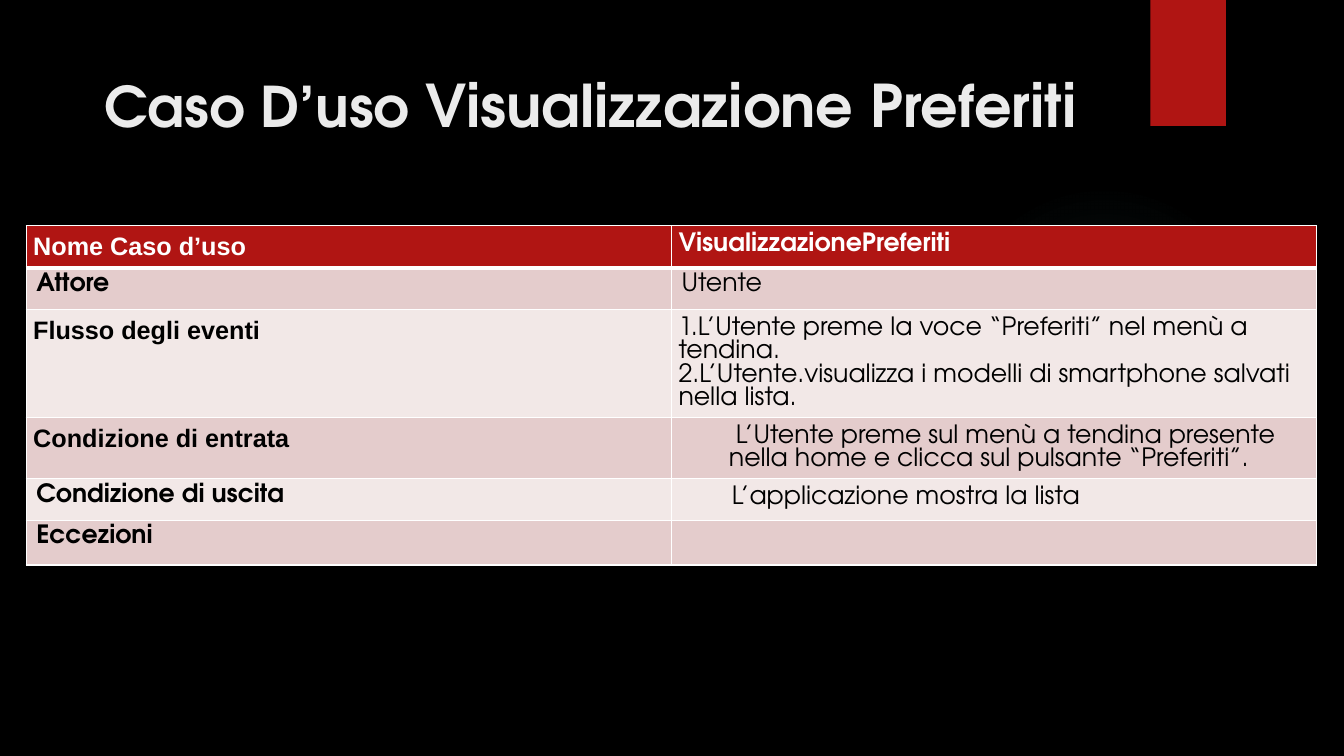
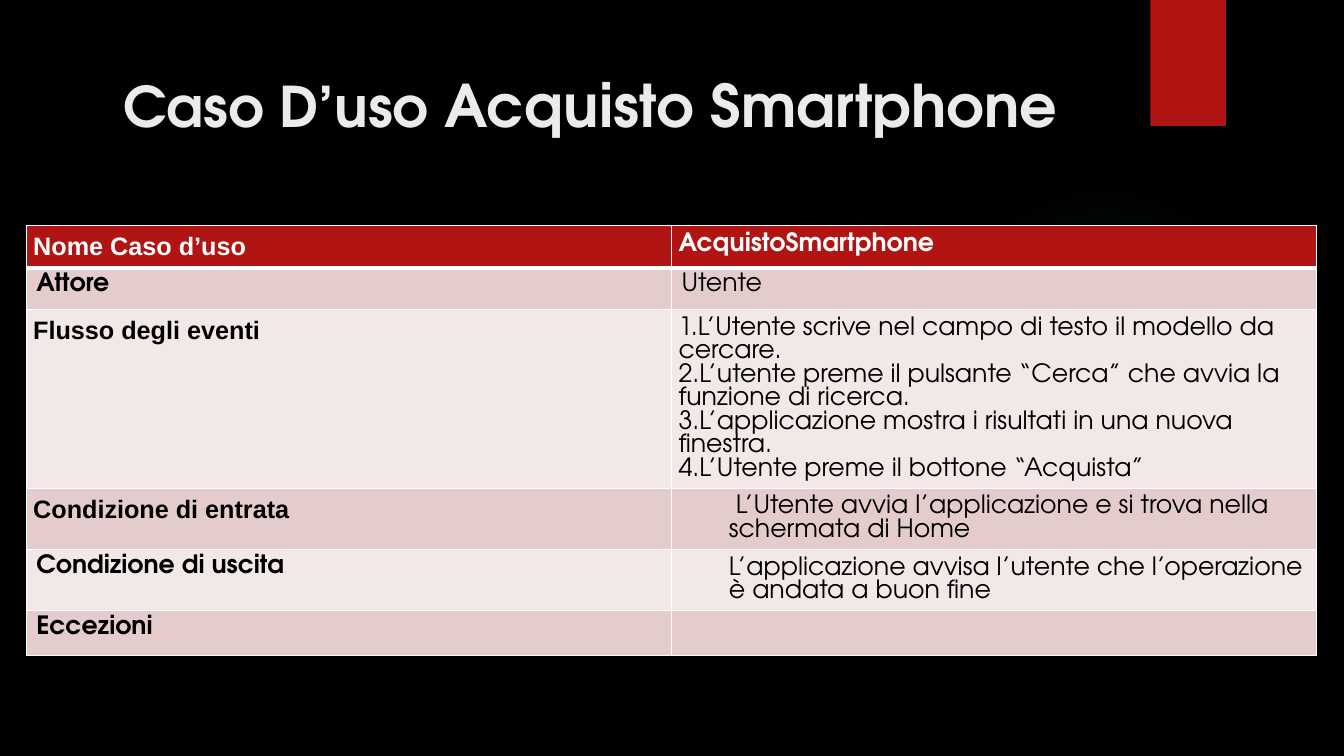
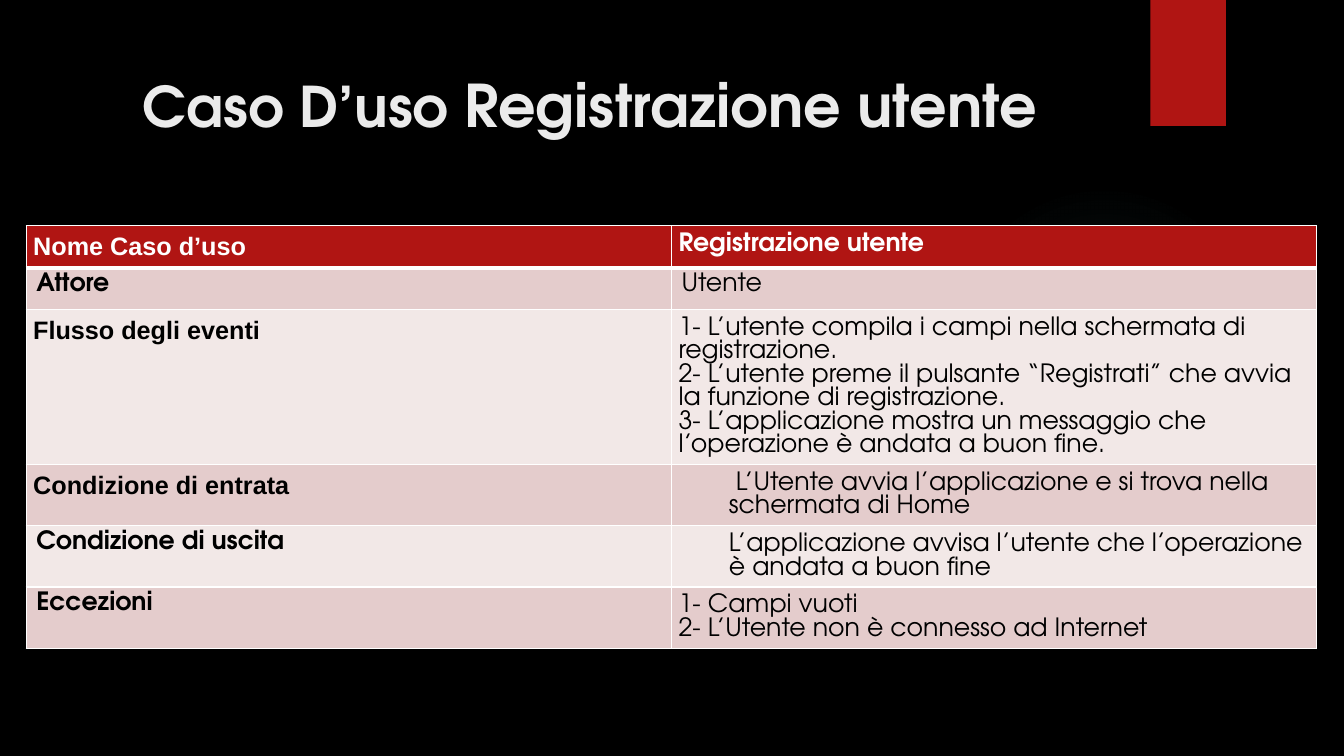
"""Build three use-case slides, each with a title and a two-column table."""
from dataclasses import dataclass

from pptx import Presentation
from pptx import util as u
from pptx.dml.color import RGBColor
from pptx.enum import shapes, text
from pptx.oxml import parse_xml
from pptx.oxml.ns import nsdecls, qn

BLACK = RGBColor(0x00, 0x00, 0x00)
WHITE = RGBColor(0xFF, 0xFF, 0xFF)
TITLE_GREY = RGBColor(0xEB, 0xEB, 0xEB)
RED = RGBColor(0xB0, 0x15, 0x13)
TEAL = RGBColor(0x50, 0xB9, 0xC1)
BANDS = (RGBColor(0xF2, 0xE8, 0xE7), RGBColor(0xE4, 0xCC, 0xCC))

DISPLAY_FONT = "TeX Gyre Adventor"
PLAIN_FONT = "Arial"
TEXT_SIZE = 18
TIGHT_INSET = 0.07
ROW_HEIGHT = 0.41
LINE_HEIGHT = 0.23
COLUMN_WIDTH = 6.4
TABLE_LEFT, TABLE_TOP = 0.26, 2.24
GLOW_STOPS = ((0, 7), (36, 6), (69, 0))


@dataclass(frozen=True)
class Label:
    text: str
    font: str = DISPLAY_FONT


@dataclass(frozen=True)
class Value:
    paragraphs: tuple[str, ...] = ()
    lines: int = 1
    numbered: bool = False
    indent: float = 0
    first_line: float = 0
    tight: bool = True


@dataclass(frozen=True)
class UseCase:
    title: str
    name: str
    events: Value
    entry: Value
    outcome: Value
    exceptions: Value = Value()


LABELS = (
    Label("Nome Caso d’uso", PLAIN_FONT),
    Label("Attore"),
    Label("Flusso degli eventi", PLAIN_FONT),
    Label("Condizione di entrata", PLAIN_FONT),
    Label("Condizione di uscita"),
    Label("Eccezioni"),
)
ACTOR = Value(("Utente",), tight=False)
HOME_ENTRY = Value(
    ("L’Utente avvia l’applicazione e si trova nella schermata di Home",),
    lines=2, indent=0.5, first_line=0.07,
)
SUCCESS = Value(
    ("L’applicazione avvisa l’utente che l’operazione è andata a buon fine",),
    lines=2, indent=0.5,
)
USE_CASES = (
    UseCase(
        "Visualizzazione Preferiti",
        "VisualizzazionePreferiti",
        Value((
            "L’Utente preme la voce “Preferiti” nel menù a tendina.",
            "L’Utente.visualizza i modelli di smartphone salvati nella lista.",
        ), lines=4, numbered=True),
        Value((
            "L’Utente preme sul menù a tendina presente nella home e clicca "
            "sul pulsante “Preferiti”.",
        ), lines=2, indent=0.5, first_line=0.07),
        Value(("L’applicazione mostra la lista",), indent=0.53),
    ),
    UseCase(
        "Acquisto Smartphone",
        "AcquistoSmartphone",
        Value((
            "L’Utente scrive nel campo di testo il modello da cercare.",
            "L’utente preme il pulsante “Cerca” che avvia la funzione di ricerca.",
            "L’applicazione mostra i risultati in una nuova finestra.",
            "L’Utente preme il bottone “Acquista”",
        ), lines=7, numbered=True),
        HOME_ENTRY,
        SUCCESS,
    ),
    UseCase(
        "Registrazione utente",
        "Registrazione utente",
        Value((
            "1- L’utente compila i campi nella schermata di registrazione.",
            "2- L’utente preme il pulsante “Registrati” che avvia la funzione "
            "di registrazione.",
            "3- L’applicazione mostra un messaggio che l’operazione è andata "
            "a buon fine.",
        ), lines=6),
        HOME_ENTRY,
        SUCCESS,
        Value(("1- Campi vuoti", "2- L’Utente non è connesso ad Internet"), lines=2),
    ),
)


def format_run(run, font: str, size: float, color: RGBColor, bold: bool) -> None:
    """Set the font of one run."""
    run.font.name = font
    run.font.size = u.Pt(size)
    run.font.color.rgb = color
    run.font.bold = bold


def format_title(layout) -> None:
    """Place the layout's title and drop its other placeholders."""
    title, *others = layout.placeholders
    for placeholder in others:
        placeholder.element.getparent().remove(placeholder.element)
    title.left, title.top = u.Inches(0.71), u.Inches(0.5)
    title.width, title.height = u.Inches(10.29), u.Inches(1.53)
    frame = title.text_frame
    frame.word_wrap = True
    frame.auto_size = text.MSO_AUTO_SIZE.NONE
    frame.vertical_anchor = text.MSO_ANCHOR.TOP
    frame.margin_top = u.Inches(0.18)


def add_decoration(slide, kind, left: float, top: float, width: float, height: float):
    """Add a plain red shape without outline or shadow."""
    shape = slide.shapes.add_shape(
        kind, u.Inches(left), u.Inches(top), u.Inches(width), u.Inches(height)
    )
    shape.shadow.inherit = False
    shape.line.fill.background()
    shape.fill.solid()
    shape.fill.fore_color.rgb = RED
    return shape


def decorate_layout(layout, slide) -> None:
    """Put the glow and the red tab behind everything on the layout."""
    glow = add_decoration(slide, shapes.MSO_SHAPE.OVAL, 9.41, 1.83, 3.08, 3.08)
    tab = add_decoration(slide, shapes.MSO_SHAPE.RECTANGLE, 11.41, 0, 0.75, 1.25)
    stops = "".join(
        f'<a:gs pos="{position * 1000}"><a:srgbClr val="{TEAL}">'
        f'<a:alpha val="{alpha * 1000}"/></a:srgbClr></a:gs>'
        for position, alpha in GLOW_STOPS
    )
    gradient = parse_xml(
        f'<a:gradFill {nsdecls("a")} rotWithShape="1"><a:gsLst>{stops}</a:gsLst>'
        '<a:path path="circle">'
        '<a:fillToRect l="50000" t="50000" r="50000" b="50000"/>'
        "</a:path></a:gradFill>"
    )
    properties = glow.element.spPr
    properties.replace(properties.find(qn("a:solidFill")), gradient)
    for shape in (tab, glow):
        layout.shapes.element.insert(2, shape.element)


def set_borders(tc, row: int) -> None:
    """Draw white cell borders, heavier under the header row."""
    widths = {"L": 1, "R": 1, "T": 3 if row == 1 else 1, "B": 3 if row == 0 else 1}
    for index, (side, width) in enumerate(widths.items()):
        border = parse_xml(
            f'<a:ln{side} {nsdecls("a")} w="{u.Pt(width)}"><a:solidFill>'
            f'<a:srgbClr val="{WHITE}"/></a:solidFill></a:ln{side}>'
        )
        tc.get_or_add_tcPr().insert(index, border)


def fill_cell(cell, tc, row: int, value: Value, font: str, bold: bool) -> None:
    """Write and format one table cell."""
    cell.fill.solid()
    cell.fill.fore_color.rgb = BANDS[row % 2] if row else RED
    set_borders(tc, row)
    if value.tight:
        cell.margin_left = cell.margin_right = u.Inches(TIGHT_INSET)
        cell.margin_top = cell.margin_bottom = u.Inches(TIGHT_INSET)
    cell.text_frame.text = "\n".join(value.paragraphs)
    for paragraph in cell.text_frame.paragraphs:
        paragraph.font.size = u.Pt(TEXT_SIZE)
        for run in paragraph.runs:
            format_run(run, font, TEXT_SIZE, BLACK if row else WHITE, bold)
    for element in tc.iter(qn("a:p")):
        properties = element.get_or_add_pPr()
        properties.set("marL", str(u.Inches(value.indent)))
        properties.set("indent", str(u.Inches(value.first_line)))
        if value.numbered:
            properties.insert(0, parse_xml(
                f'<a:buAutoNum {nsdecls("a")} type="arabicPeriod"/>'
            ))


def add_use_case_table(slide, case: UseCase) -> None:
    """Add the table that describes one use case."""
    values = (Value((case.name,)), ACTOR, case.events, case.entry,
              case.outcome, case.exceptions)
    heights = [
        max(ROW_HEIGHT, 2 * TIGHT_INSET + value.lines * LINE_HEIGHT)
        for value in values
    ]
    graphic_frame = slide.shapes.add_table(
        len(LABELS), 2, u.Inches(TABLE_LEFT), u.Inches(TABLE_TOP),
        u.Inches(2 * COLUMN_WIDTH), u.Inches(sum(heights)),
    )
    table = graphic_frame.table
    table.horz_banding = False
    cells = iter(graphic_frame.element.iter(qn("a:tc")))
    for row, (label, value) in enumerate(zip(LABELS, values)):
        table.rows[row].height = u.Inches(heights[row])
        heading = Value((label.text,), tight=label.font == PLAIN_FONT)
        fill_cell(table.cell(row, 0), next(cells), row, heading, label.font, True)
        fill_cell(table.cell(row, 1), next(cells), row, value, DISPLAY_FONT, row == 0)


def add_title(slide, title: str) -> None:
    """Write the two-part slide title."""
    frame = slide.shapes.title.text_frame
    frame.text = "Caso D’uso "
    paragraph = frame.paragraphs[0]
    paragraph.alignment = text.PP_ALIGN.CENTER
    paragraph.add_run().text = title
    for run, size in zip(paragraph.runs, (40, 42)):
        format_run(run, DISPLAY_FONT, size, TITLE_GREY, True)


def main() -> None:
    """Build and save the presentation."""
    presentation = Presentation()
    presentation.slide_width = u.Inches(13.33)
    presentation.slide_height = u.Inches(7.5)
    background = presentation.slide_master.background.fill
    background.solid()
    background.fore_color.rgb = BLACK
    layout = presentation.slide_layouts[5]
    format_title(layout)
    slides = [presentation.slides.add_slide(layout) for _ in USE_CASES]
    decorate_layout(layout, slides[0])
    for slide, case in zip(slides, USE_CASES):
        add_title(slide, case.title)
        add_use_case_table(slide, case)
    presentation.save("out.pptx")


if __name__ == "__main__":
    main()
